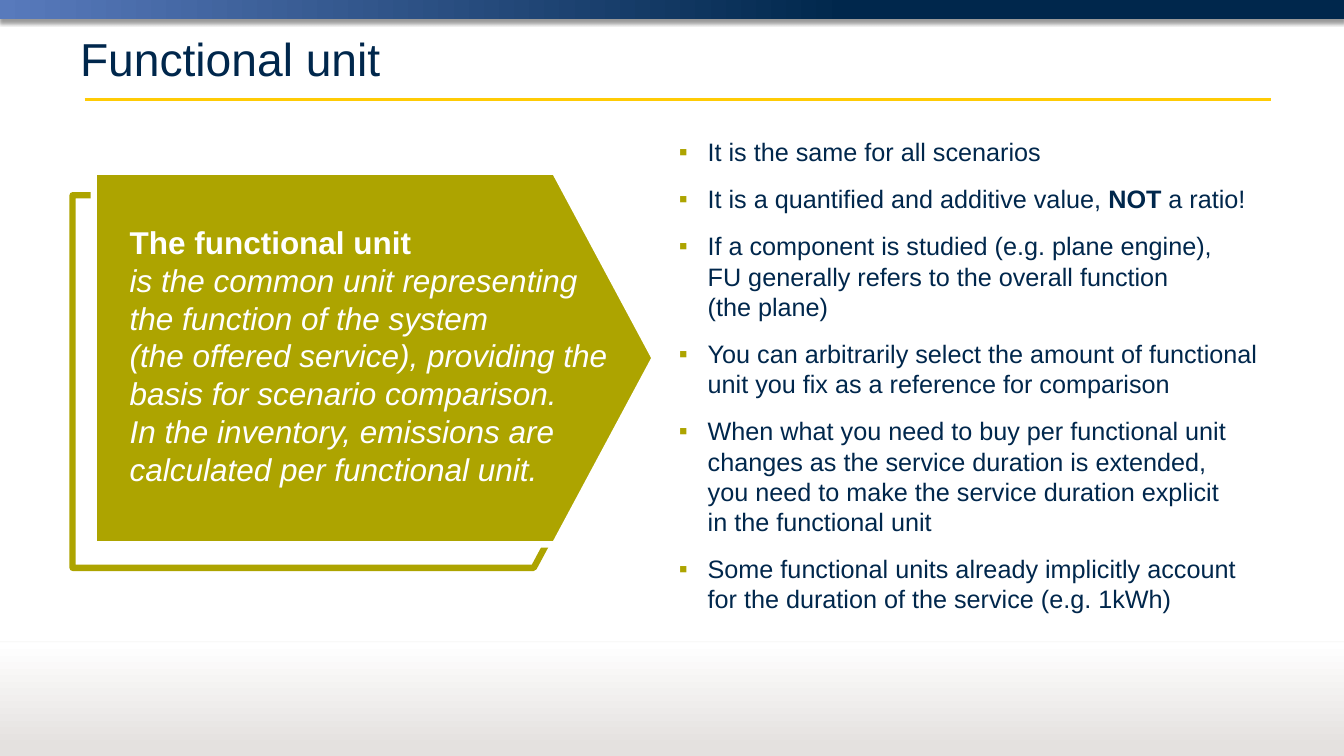
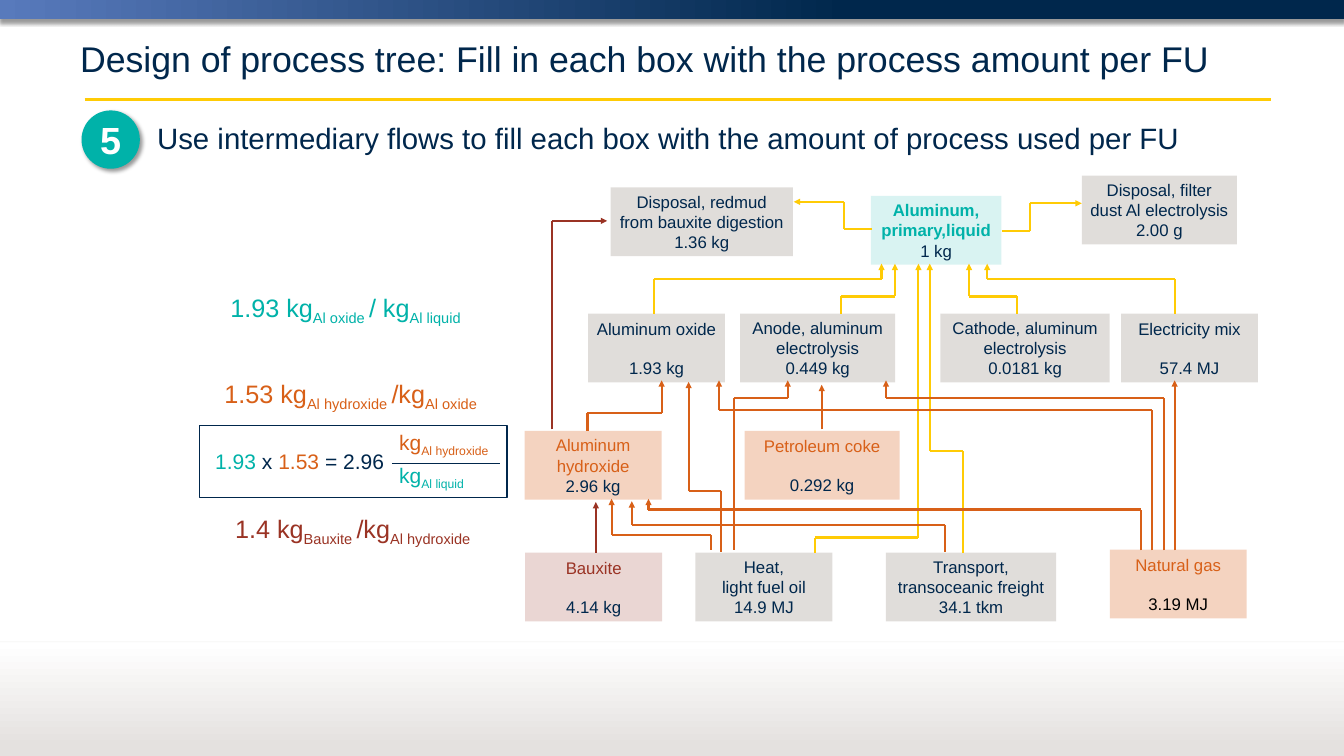
from dataclasses import dataclass
from itertools import pairwise
from typing import NamedTuple

from lxml.etree import SubElement
from pptx import Presentation
from pptx.dml.color import RGBColor
from pptx.enum.shapes import MSO_CONNECTOR as Link, MSO_SHAPE as Preset
from pptx.enum.text import MSO_ANCHOR as Anchor, PP_ALIGN as Align
from pptx.oxml.ns import qn
from pptx.util import Cm, Pt


@dataclass(frozen=True)
class Theme:
    font: str = "Arial"
    navy: str = "00274C"
    blue: str = "587ABC"
    yellow: str = "FFCB05"
    olive: str = "ADA400"
    teal: str = "00B2A9"
    orange: str = "D86018"
    red: str = "9A3324"
    stone: str = "B0A8A2"
    mist: str = "E4E1DF"
    white: str = "FFFFFF"
    black: str = "000000"
    title: int = 44
    long_title: int = 34
    badge: int = 36
    callout: int = 30
    lead: int = 28
    body: int = 24
    equation: int = 20
    node: int = 16


THEME = Theme()


class Box(NamedTuple):
    left: float
    top: float
    width: float
    height: float

    def inside(self, left, top, width, height):
        return Box(self.left + left, self.top + top, width, height)

    def point(self, x, y):
        return self.left + x, self.top + y

    def lengths(self):
        return [Cm(value) for value in self]


class Span(NamedTuple):
    text: str
    color: str = None
    bold: bool = None
    italic: bool = None
    sub: bool = False


class Node(NamedTuple):
    left: float
    top: float
    width: float
    name: str
    amount: str
    fill: str = THEME.stone
    alpha: int = 39
    color: str = THEME.navy
    amount_color: str = THEME.navy
    gap: int = 0
    bold: bool = None


def rgb(color):
    return RGBColor.from_string(color)


def set_alpha(parent, percent):
    SubElement(parent.find(".//" + qn("a:srgbClr")), qn("a:alpha"), val=str(percent * 1000))


def set_effects(shape, shadow=None):
    effects = SubElement(shape._element.spPr, qn("a:effectLst"))
    if shadow:
        alpha, blur, distance, angle = shadow
        outer = SubElement(effects, qn("a:outerShdw"), blurRad=str(Pt(blur)), dist=str(Pt(distance)),
                           dir=str(angle * 60000), algn="t", rotWithShape="0")
        SubElement(outer, qn("a:srgbClr"), val=THEME.black)
        set_alpha(outer, alpha)


def add_shape(page, preset, box, fill=None, line=None, width=1, alpha=None, shadow=None, gradient=None):
    shape = page.shapes.add_shape(preset, *box.lengths())
    if gradient:
        angle, *stops = gradient
        shape.fill.gradient()
        shape.fill.gradient_angle = angle
        for stop, (position, color) in zip(shape.fill.gradient_stops, stops):
            stop.position, stop.color.rgb = position, rgb(color)
    elif fill:
        shape.fill.solid()
        shape.fill.fore_color.rgb = rgb(fill)
        if alpha:
            set_alpha(shape._element.spPr, alpha)
    else:
        shape.fill.background()
    if line:
        shape.line.color.rgb = rgb(line)
        shape.line.width = Pt(width)
    else:
        shape.line.fill.background()
    set_effects(shape, shadow)
    return shape


def add_line(page, start, end, color, width=2, arrow=False, alpha=None, shadow=None):
    line = page.shapes.add_connector(Link.STRAIGHT, *[Cm(value) for value in (*start, *end)])
    line.line.color.rgb = rgb(color)
    line.line.width = Pt(width)
    if alpha:
        set_alpha(line._element.spPr, alpha)
    if arrow:
        SubElement(line._element.spPr.find(qn("a:ln")), qn("a:tailEnd"), type="triangle")
    set_effects(line, shadow)


def add_route(page, points, color):
    legs = list(pairwise(points))
    for leg in legs:
        add_line(page, *leg, color, arrow=leg == legs[-1])


def add_bullet(para):
    props = para._p.get_or_add_pPr()
    props.set("marL", str(Cm(2.24)))
    props.set("indent", str(Cm(-0.97)))
    SubElement(SubElement(props, qn("a:buClr")), qn("a:srgbClr"), val=THEME.olive)
    SubElement(props, qn("a:buFont"), typeface=THEME.font)
    SubElement(props, qn("a:buChar"), char="▪")


def write(frame, paras, size, color=THEME.navy, align=Align.LEFT, anchor=Anchor.TOP, bullet=False,
          before=0, after=0, wrap=True):
    frame.word_wrap = wrap
    frame.vertical_anchor = anchor
    for index, spans in enumerate(paras):
        para = frame.add_paragraph() if index else frame.paragraphs[0]
        if bullet:
            add_bullet(para)
        para.alignment = align
        para.space_after = Pt(after)
        if index and before:
            para.space_before = Pt(before)
        para.font.name, para.font.size, para.font.color.rgb = THEME.font, Pt(size), rgb(color)
        for span in [Span(spans)] if isinstance(spans, str) else spans:
            for row, text in enumerate(span.text.split("\n")):
                if row:
                    para.add_line_break()
                if not text:
                    continue
                run = para.add_run()
                run.text = text
                run.font.bold, run.font.italic = span.bold, span.italic
                if span.color:
                    run.font.color.rgb = rgb(span.color)
                if span.sub:
                    run.font._element.set("baseline", "-25000")


def add_text(page, box, paras, size, **style):
    write(page.shapes.add_textbox(*box.lengths()).text_frame, paras, size, **style)


def add_page(deck, box, title, size):
    page = deck.slides.add_slide(deck.slide_layouts[6])
    add_shape(page, Preset.RECTANGLE, box.inside(0, 0, box.width, 0.64),
              gradient=(0, (0, THEME.blue), (0.63, THEME.navy)), shadow=(40, 4, 3, 90))
    add_line(page, box.point(2.84, 3.35), box.point(42.7, 3.35), THEME.yellow, 3)
    add_shape(page, Preset.RECTANGLE, box.inside(0, 21.59, box.width, 3.81),
              gradient=(90, (0.08, THEME.mist), (1, THEME.white)))
    add_line(page, box.point(0, 21.56), box.point(box.width, 21.56), THEME.mist, 0.75,
             alpha=30, shadow=(38, 3.1, 1.6, 90))
    add_text(page, box.inside(2.44, 0.76, 40.64, 2.41), [title], size, anchor=Anchor.MIDDLE)
    return page


def add_definition(page, box):
    for left, top, fill, line in ((0, 0.79, None, THEME.olive), (0.71, 0, THEME.olive, THEME.white)):
        arrow = add_shape(page, Preset.RIGHT_ARROW, box.inside(left, top, 18.85, 12.52), fill, line, 6)
        arrow.adjustments[0], arrow.adjustments[1] = 1, 0.268
    add_text(page, box.inside(1.67, 1.6, 17.88, 9.25), [[
        Span("The functional unit\n", bold=True),
        Span("is the common unit representing\nthe function of the system\n"
             "(the offered service), providing the basis for scenario comparison.\n"
             "In the inventory, emissions are calculated per functional unit.", italic=True),
    ]], THEME.callout, color=THEME.white)


def add_properties(page, box):
    add_text(page, box, [
        "It is the same for all scenarios",
        [Span("It is a quantified and additive value, "), Span("NOT", bold=True), Span(" a ratio!")],
        "If a component is studied (e.g. plane engine),\nFU generally refers to the overall function\n(the plane)",
        "You can arbitrarily select the amount of functional unit you fix as a reference for comparison",
        "When what you need to buy per functional unit changes as the service duration is extended,\n"
        "you need to make the service duration explicit\nin the functional unit",
        "Some functional units already implicitly account\nfor the duration of the service (e.g. 1kWh)",
    ], THEME.body, bullet=True, after=16)


def add_step(page, box, number, text):
    badge = add_shape(page, Preset.OVAL, box.inside(0, 0, 1.96, 1.96), THEME.teal, shadow=(40, 4, 3, 45))
    write(badge.text_frame, [[Span(number, bold=True)]], THEME.badge, color=THEME.white,
          align=Align.CENTER, anchor=Anchor.MIDDLE, wrap=False)
    add_text(page, box.inside(2.29, 0.2, 36.86, 1.45), [text], THEME.lead)


def with_subscripts(*texts):
    return [Span(text, sub=index % 2 == 1) for index, text in enumerate(texts)]


def add_ratios(page, box):
    for left, top, color, texts in (
        (0.79, 0, THEME.teal, ("1.93 kg", "Al oxide ", "/ kg", "Al liquid")),
        (0.59, 2.89, THEME.orange, ("1.53 kg", "Al hydroxide ", "/kg", "Al oxide")),
        (0.95, 7.44, THEME.red, ("1.4 kg", "Bauxite ", "/kg", "Al hydroxide")),
    ):
        add_text(page, box.inside(left, top, 9.8, 1.27), [with_subscripts(*texts)], THEME.body, color=color)
    add_shape(page, Preset.RECTANGLE, box.inside(0, 4.62, 10.34, 2.41), line=THEME.navy, width=1.5)
    add_text(page, box.inside(0.28, 5.28, 6.81, 1.12), [[
        Span("1.93 ", THEME.teal), Span("x"), Span(" 1.53 ", THEME.orange), Span("= 2.96"),
    ]], THEME.equation)
    for top, color, name in ((4.62, THEME.orange, "Al hydroxide"), (5.74, THEME.teal, "Al liquid")):
        add_text(page, box.inside(6.46, top, 4.19, 1.12), [with_subscripts("kg", name)],
                 THEME.equation, color=color)
    add_line(page, box.point(6.47, 5.89), box.point(10.1, 5.89), THEME.navy, 1.5)


LINE_GAP = 18
ORANGE_NODE = dict(fill=THEME.orange, alpha=27, color=THEME.orange)
NODES = (
    Node(2.92, 0.4, 6.12, "Disposal, redmud from bauxite digestion", "1.36 kg"),
    Node(18.75, 0, 5.21, "Disposal, filter dust Al electrolysis", "2.00 g"),
    Node(11.66, 0.68, 4.39, "Aluminum, primary,liquid", "1 kg", THEME.teal, 15, THEME.teal, bold=True),
    Node(2.16, 4.64, 4.6, "Aluminum oxide", "1.93 kg", gap=LINE_GAP),
    Node(7.27, 4.64, 5.21, "Anode, aluminum electrolysis", "0.449 kg"),
    Node(14, 4.64, 5.69, "Cathode, aluminum electrolysis", "0.0181 kg"),
    Node(20.07, 4.64, 4.6, "Electricity mix", "57.4 MJ", gap=LINE_GAP),
    Node(0.03, 8.58, 4.6, "Aluminum hydroxide", "2.96 kg", **ORANGE_NODE),
    Node(7.42, 8.58, 5.21, "Petroleum coke", "0.292 kg", gap=LINE_GAP, **ORANGE_NODE),
    Node(0.05, 12.67, 4.6, "Bauxite", "4.14 kg", THEME.red, 20, THEME.red, gap=LINE_GAP),
    Node(5.77, 12.67, 4.6, "Heat,\nlight fuel oil", "14.9 MJ"),
    Node(12.17, 12.67, 5.72, "Transport, transoceanic freight", "34.1 tkm"),
    Node(19.69, 12.57, 4.6, "Natural gas", "3.19 MJ", amount_color=THEME.black, gap=LINE_GAP, **ORANGE_NODE),
)
RISERS = {
    THEME.yellow: (
        (21.87, 4.64, 3.47, 15.57, 2.96), (16.56, 4.64, 4.06, 14.96, 2.96),
        (4.37, 4.64, 3.47, 12.02, 2.96), (10.67, 4.64, 4.06, 12.47, 2.96),
        (14.76, 12.67, 9.24, 13.64, 2.96), (9.78, 12.67, 12.16, 13.26, 2.96),
    ),
    THEME.orange: (
        (2.14, 8.58, 7.97, 4.63, 6.88), (6.3, 12.57, 12.06, 2.95, 10.86),
        (6.63, 12.64, 10.61, 5.54, 6.93), (7.06, 12.57, 7.46, 8.87, 6.88),
        (14.15, 12.64, 11.73, 3.63, 10.94), (20.73, 12.59, 11.22, 4.19, 10.86),
        (21.52, 12.59, 7.46, 12.17, 6.88), (21.11, 12.59, 7.87, 6.56, 6.88),
    ),
}
ROUTES = (
    (THEME.yellow, (16.08, 1.87), (17.02, 1.87), (17.02, 0.93), (18.75, 0.93)),
    (THEME.yellow, (11.69, 1.8), (10.77, 1.8), (10.77, 0.88), (9.07, 0.88)),
    (THEME.orange, (21.87, 12.59), (21.87, 6.88)),
    (THEME.orange, (10.01, 8.53), (10.01, 7.03)),
    (THEME.red, (2.42, 12.67), (2.42, 10.97)),
    (THEME.red, (0.95, 8.53), (0.95, 1.52), (2.8, 1.52)),
)


def add_process_tree(page, box):
    for node in NODES:
        shape = add_shape(page, Preset.RECTANGLE, box.inside(node.left, node.top, node.width, 2.31),
                          node.fill, alpha=node.alpha)
        write(shape.text_frame, [[Span(node.name, bold=node.bold)], [Span(node.amount, node.amount_color)]],
              THEME.node, color=node.color, align=Align.CENTER, anchor=Anchor.MIDDLE, before=node.gap)
    for color, risers in RISERS.items():
        for start, bottom, bend, end, top in risers:
            corners = (start, bottom), (start, bend), (end, bend), (end, top)
            add_route(page, [box.point(*corner) for corner in corners], color)
    for color, *corners in ROUTES:
        add_route(page, [box.point(*corner) for corner in corners], color)


def main():
    deck = Presentation()
    canvas = Box(0, 0, 45.16, 25.4)
    deck.slide_width, deck.slide_height = Cm(canvas.width), Cm(canvas.height)

    page = add_page(deck, canvas, "Functional unit", THEME.title)
    add_definition(page, Box(2.44, 5.77, 19.56, 13.31))
    add_properties(page, Box(21.29, 4.47, 22.33, 16.66))

    page = add_page(deck, canvas, "Design of process tree: Fill in each box with the process amount per FU",
                    THEME.long_title)
    add_step(page, Box(2.74, 3.71, 39.15, 1.96), "5",
             "Use intermediary flows to fill each box with the amount of process used per FU")
    add_ratios(page, Box(6.7, 9.68, 10.65, 8.71))
    add_process_tree(page, Box(17.6, 5.9, 24.67, 14.98))

    deck.save("out.pptx")


if __name__ == "__main__":
    main()
